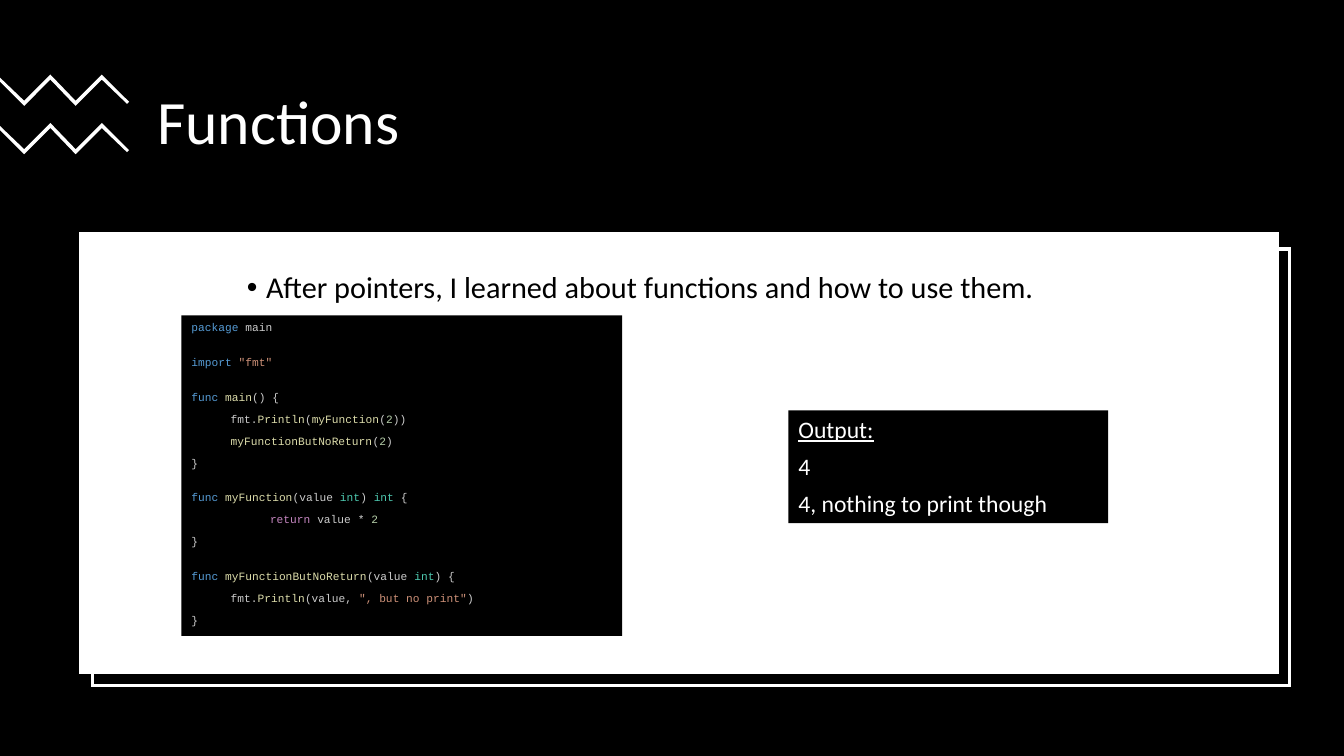
from dataclasses import dataclass

from lxml import etree
from pptx import Presentation
from pptx.dml.color import RGBColor
from pptx.enum.shapes import MSO_SHAPE
from pptx.enum.text import MSO_ANCHOR, PP_ALIGN
from pptx.oxml.ns import qn
from pptx.util import Inches, Pt

RECTANGLE = MSO_SHAPE.RECTANGLE
TOP, MIDDLE = MSO_ANCHOR.TOP, MSO_ANCHOR.MIDDLE
LEFT = PP_ALIGN.LEFT

BLACK, WHITE = "000000", "FFFFFF"
KEYWORD, PLAIN, STRING = "569CD6", "CCCCCC", "CE9178"
CALL, NUMBER, TYPE = "DCDCAA", "B5CEA8", "4EC9B0"
CONTROL, OPERATOR = "C586C0", "D4D4D4"
INDENT = 0.39


@dataclass
class Area:
    left: float
    top: float
    width: float
    height: float

    def lengths(self):
        return [Inches(v) for v in (self.left, self.top, self.width, self.height)]


@dataclass
class CodeLine:
    spans: list[tuple[str, str]]
    level: int = 0
    gap: bool = False


CODE = [
    CodeLine([("package", KEYWORD), (" main", PLAIN)]),
    CodeLine([("import ", KEYWORD), ('"fmt"', STRING)], gap=True),
    CodeLine([("func ", KEYWORD), ("main", CALL), ("() {", PLAIN)], gap=True),
    CodeLine([("fmt.", PLAIN), ("Println", CALL), ("(", PLAIN), ("myFunction", CALL),
              ("(", PLAIN), ("2", NUMBER), ("))", PLAIN)], level=1),
    CodeLine([("myFunctionButNoReturn", CALL), ("(", PLAIN), ("2", NUMBER),
              (")", PLAIN)], level=1),
    CodeLine([("}", PLAIN)]),
    CodeLine([("func ", KEYWORD), ("myFunction", CALL), ("(value ", PLAIN), ("int", TYPE),
              (") ", PLAIN), ("int", TYPE), (" {", PLAIN)], gap=True),
    CodeLine([("return", CONTROL), (" value ", PLAIN), ("* ", OPERATOR),
              ("2", NUMBER)], level=2),
    CodeLine([("}", PLAIN)]),
    CodeLine([("func ", KEYWORD), ("myFunctionButNoReturn", CALL), ("(value ", PLAIN),
              ("int", TYPE), (") {", PLAIN)], gap=True),
    CodeLine([("fmt.", PLAIN), ("Println", CALL), ("(value, ", PLAIN),
              ('", but no print"', STRING), (")", PLAIN)], level=1),
    CodeLine([("}", PLAIN)]),
]
OUTPUT = ["Output:", "4", "4, nothing to print though"]
ZIGZAG = [(0.5, 0), (0.75, 0.26), (1.01, 0), (1.28, 0.27), (1.26, 0.29), (1.01, 0.05),
          (0.75, 0.31), (0.5, 0.05), (0.24, 0.31), (0, 0.07), (0, 0.03), (0.24, 0.26)]


def color(value: str) -> RGBColor:
    return RGBColor.from_string(value)


def paint(shape, fill: str, line: str | None = None) -> None:
    shape.shadow.inherit = False
    shape.fill.solid()
    shape.fill.fore_color.rgb = color(fill)
    if line:
        shape.line.color.rgb = color(line)
        shape.line.width = Pt(2.25)
        outline = shape._element.spPr.find(qn("a:ln"))
        etree.SubElement(outline, qn("a:miter"), lim="800000")
    else:
        shape.line.fill.background()


def add_panel(page, area: Area, fill: str, line: str | None = None):
    panel = page.shapes.add_shape(RECTANGLE, *area.lengths())
    paint(panel, fill, line)
    panel.text_frame.word_wrap = True
    panel.text_frame.vertical_anchor = TOP
    return panel


def add_zigzag(page, top: float) -> None:
    points = [(Inches(x), Inches(top + y)) for x, y in ZIGZAG]
    builder = page.shapes.build_freeform(*points[0])
    builder.add_line_segments(points[1:], close=True)
    paint(builder.convert_to_shape(), WHITE)


def set_font(para, name: str, size: float, value: str) -> None:
    para.alignment = LEFT
    para.font.name = name
    para.font.size = Pt(size)
    para.font.color.rgb = color(value)


def add_text(page, area: Area, text: str, size: float, value: str, anchor):
    box = page.shapes.add_textbox(*area.lengths())
    box.text_frame.word_wrap = True
    box.text_frame.vertical_anchor = anchor
    para = box.text_frame.paragraphs[0]
    para.text = text
    para.line_spacing = 0.9
    set_font(para, "Calibri", size, value)
    return para


def add_bullet(para, indent: float) -> None:
    properties = para._p.get_or_add_pPr()
    properties.set("marL", str(Inches(indent)))
    properties.set("indent", str(-Inches(indent)))
    defaults = properties.find(qn("a:defRPr"))
    defaults.addprevious(etree.Element(qn("a:buFont"), typeface="Arial"))
    defaults.addprevious(etree.Element(qn("a:buChar"), char="•"))


def paragraph_at(frame, index: int):
    return frame.add_paragraph() if index else frame.paragraphs[0]


def fill_output(frame) -> None:
    for index, text in enumerate(OUTPUT):
        para = paragraph_at(frame, index)
        para.text = text
        para.space_after = Pt(6)
        set_font(para, "Calibri", 16.9, WHITE)
        para.font.underline = index == 0


def fill_code(frame) -> None:
    for index, line in enumerate(CODE):
        para = paragraph_at(frame, index)
        para.space_after = Pt(6.1)
        if line.gap:
            para.space_before = Pt(9.2)
        set_font(para, "Courier New", 8, PLAIN)
        para._p.get_or_add_pPr().set("marL", str(Inches(line.level * INDENT)))
        for text, value in line.spans:
            span = para.add_run()
            span.text = text
            span.font.color.rgb = color(value)


def main() -> None:
    deck = Presentation()
    deck.slide_width, deck.slide_height = Inches(13.33), Inches(7.5)
    page = deck.slides.add_slide(deck.slide_layouts[6])
    page.background.fill.solid()
    page.background.fill.fore_color.rgb = color(BLACK)

    add_text(page, Area(1.46, 0.62, 10.66, 1.23), "Functions", 44, WHITE, MIDDLE)
    for top in (0.74, 1.22):
        add_zigzag(page, top)
    add_panel(page, Area(0.92, 2.47, 11.87, 4.33), BLACK, WHITE)
    add_panel(page, Area(0.8, 2.32, 11.87, 4.35), WHITE, WHITE)
    statement = add_text(page, Area(2.35, 2.65, 8.91, 3.69),
                         "After pointers, I learned about functions and how to use them.",
                         21.6, BLACK, TOP)
    add_bullet(statement, 0.19)
    fill_output(add_panel(page, Area(7.82, 4.07, 3.17, 1.12), BLACK).text_frame)
    fill_code(add_panel(page, Area(1.8, 3.13, 4.37, 3.18), BLACK).text_frame)
    deck.save("out.pptx")


if __name__ == "__main__":
    main()
